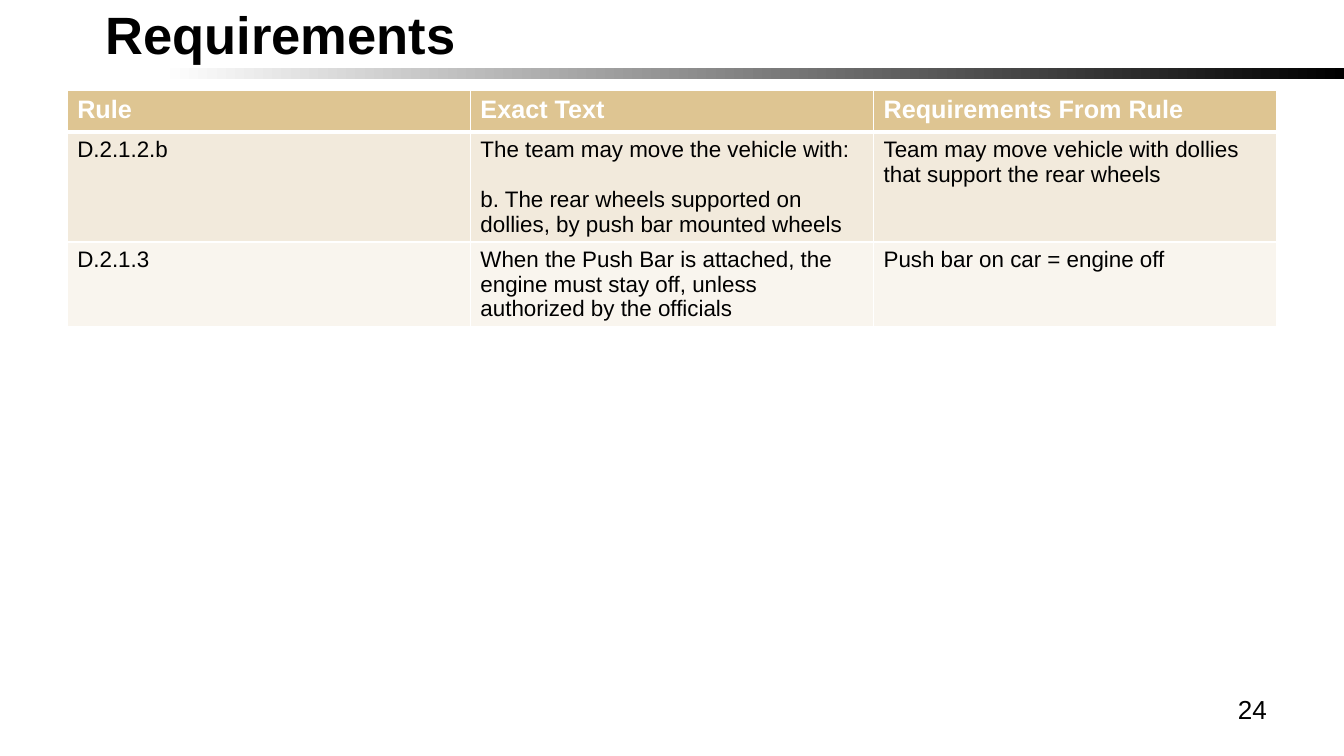
from dataclasses import dataclass

from lxml import etree
from pptx import Presentation
from pptx import util as u
from pptx.dml.color import RGBColor
from pptx.enum import shapes, text
from pptx.oxml import ns

COLORS = {
    "black": "000000",
    "white": "FFFFFF",
    "header": "DEC592",
    "band_dark": "F2EADC",
    "band_light": "F9F5EE",
}
FONT = "Arial"
WIDTH, HEIGHT = u.Inches(13.33), u.Inches(7.5)
COLUMNS = 20
PARAGRAPH_GAP = u.Pt(18)


@dataclass(frozen=True)
class Style:
    size: float
    color: str = "black"
    bold: bool = False


@dataclass(frozen=True)
class Label:
    """Text box: left and width in grid columns, top and height in inches."""
    words: str
    left: float
    top: float
    width: float
    height: float
    style: Style
    align: text.PP_ALIGN
    anchor: text.MSO_ANCHOR
    insets: tuple[float, float, float, float]


@dataclass(frozen=True)
class Row:
    cells: tuple[str, ...]
    height: float
    fill: str
    style: Style
    top_line: float = 1
    bottom_line: float = 1


HEADING = Style(18, "white", True)
BODY = Style(16)

LABELS = (
    Label("Requirements", 1, 0.22, 13, 0.43, Style(37.5, bold=True),
          text.PP_ALIGN.LEFT, text.MSO_ANCHOR.BOTTOM, (0.38, 0.05, 0.1, 0)),
    Label("24", 14.33, 6.83, 4.67, 0.52, Style(18.6),
          text.PP_ALIGN.RIGHT, text.MSO_ANCHOR.TOP, (0.1, 0.05, 0.1, 0.05)),
)
ROWS = (
    Row(("Rule", "Exact Text", "Requirements\u00a0From Rule"),
        0.41, "header", HEADING, bottom_line=3),
    Row(("D.2.1.2.b",
         "The team may move the vehicle with:\n"
         "b. The rear wheels supported on dollies, by push bar mounted wheels",
         "Team may move vehicle with dollies that support the rear wheels"),
        1.09, "band_dark", BODY, top_line=3),
    Row(("D.2.1.3",
         "When the Push Bar is attached, the engine must stay off, "
         "unless authorized by the officials",
         "Push bar on car = engine off"),
        0.84, "band_light", BODY),
)


def rgb(name: str) -> RGBColor:
    return RGBColor.from_string(COLORS[name])


def col(count: float) -> int:
    return int(WIDTH * count / COLUMNS)


def write(tf, words: str, style: Style, align=text.PP_ALIGN.LEFT) -> None:
    tf.text = words
    for i, p in enumerate(tf.paragraphs):
        p.alignment = align
        if i:
            p.space_before = PARAGRAPH_GAP
        p.font.name, p.font.size = FONT, u.Pt(style.size)
        p.font.bold = style.bold
        p.font.color.rgb = rgb(style.color)


def add_gradient_bar(s) -> None:
    sp = s.shapes.add_shape(shapes.MSO_SHAPE.RECTANGLE,
                            0, u.Inches(0.67), WIDTH, u.Inches(0.11))
    sp.shadow.inherit = False
    sp.line.fill.background()
    sp.fill.gradient()
    sp.fill.gradient_angle = 180
    stops = ((0, "black"), (0.88, "white"))
    for stop, (position, color) in zip(sp.fill.gradient_stops, stops):
        stop.position = position
        stop.color.rgb = rgb(color)


def add_label(s, label: Label) -> None:
    sp = s.shapes.add_textbox(col(label.left), u.Inches(label.top),
                              col(label.width), u.Inches(label.height))
    tf = sp.text_frame
    tf.word_wrap = True
    tf.vertical_anchor = label.anchor
    tf.margin_left, tf.margin_top, tf.margin_right, tf.margin_bottom = map(
        u.Inches, label.insets)
    write(tf, label.words, label.style, label.align)


def set_borders(cell, row: Row) -> None:
    tc_pr = cell._tc.get_or_add_tcPr()
    widths = {"L": 1, "R": 1, "T": row.top_line, "B": row.bottom_line}
    for side, width in widths.items():
        ln = etree.SubElement(tc_pr, ns.qn(f"a:ln{side}"), w=str(u.Pt(width)))
        fill = etree.SubElement(ln, ns.qn("a:solidFill"))
        etree.SubElement(fill, ns.qn("a:srgbClr"), val=COLORS["white"])


def add_rules_table(s) -> None:
    height = u.Inches(sum(row.height for row in ROWS))
    table = s.shapes.add_table(len(ROWS), len(ROWS[0].cells),
                               col(1), u.Inches(0.9), col(18), height).table
    table.horz_banding = False
    for table_row, row in zip(table.rows, ROWS):
        table_row.height = u.Inches(row.height)
        for cell, words in zip(table_row.cells, row.cells):
            set_borders(cell, row)
            cell.fill.solid()
            cell.fill.fore_color.rgb = rgb(row.fill)
            write(cell.text_frame, words, row.style)


def main() -> None:
    prs = Presentation()
    prs.slide_width, prs.slide_height = WIDTH, HEIGHT
    s = prs.slides.add_slide(prs.slide_layouts[6])
    add_gradient_bar(s)
    add_rules_table(s)
    for label in LABELS:
        add_label(s, label)
    prs.save("out.pptx")


if __name__ == "__main__":
    main()
